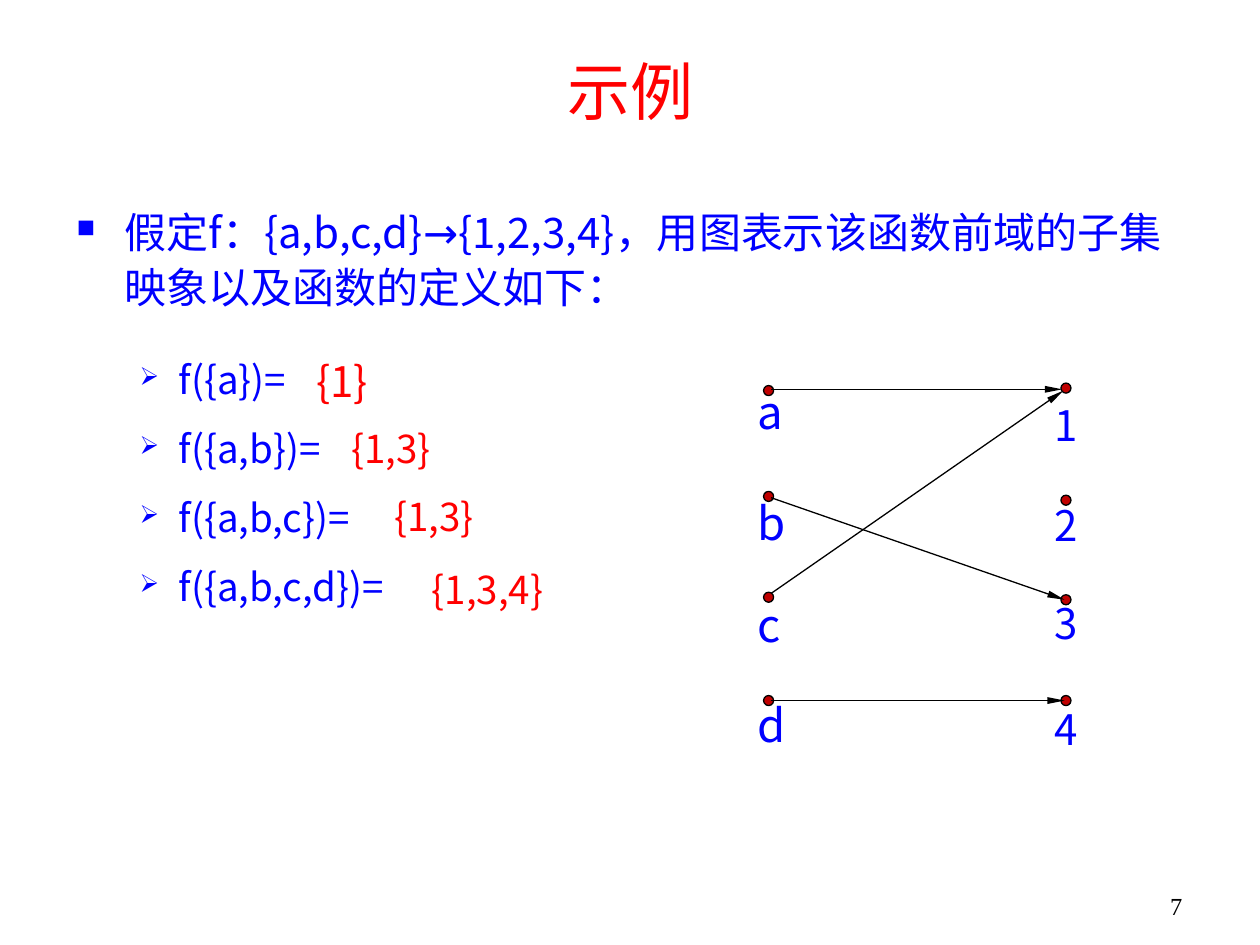
from lxml.etree import SubElement
from pptx import Presentation
from pptx.dml.color import RGBColor
from pptx.enum.shapes import MSO_CONNECTOR as CONN, MSO_SHAPE as SHAPE
from pptx.enum.text import MSO_ANCHOR as ANCHOR, PP_ALIGN as ALIGN
from pptx.oxml.ns import qn
from pptx.util import Inches, Pt

RED = RGBColor(0xFF, 0x00, 0x00)
BLUE = RGBColor(0x00, 0x00, 0xFF)
DARK_RED = RGBColor(0xC0, 0x00, 0x00)
BLACK = RGBColor(0x00, 0x00, 0x00)
CJK, COMIC, TIMES = "Noto Sans CJK SC", "Comic Neue", "Times New Roman"

DOT = 0.08
DOMAIN_X, RANGE_X = 6.06, 8.42
# label: (dot top, label top)
DOMAIN = {"a": (3.06, 3.1), "b": (3.9, 3.98), "c": (4.7, 4.79), "d": (5.52, 5.58)}
RANGE = {"1": (3.04, 3.22), "2": (3.93, 4.01), "3": (4.72, 4.79), "4": (5.52, 5.63)}
ARROWS = [((6.12, 3.09), (8.43, 3.09)), ((6.12, 3.95), (8.45, 4.76)),
          ((6.12, 4.71), (8.44, 3.1)), ((6.12, 5.56), (8.45, 5.56))]

INTRO = [("假定f：{a,b,c,d}", CJK), ("→", COMIC),
         ("{1,2,3,4}，用图表示该函数前域的子集映象以及函数的定义如下：", CJK)]
QUESTIONS = ["f({a})=", "f({a,b})=", "f({a,b,c})=", "f({a,b,c,d})="]
# text, box, size, space after
ANSWERS = [("{1}", (2.41, 2.73, 0.91, 0.57), 24, 18),
           ("{1,3}", (2.69, 3.29, 1.03, 0.55), 22, 6),
           ("{1,3}", (3.03, 3.83, 1.03, 0.55), 22, 6),
           ("{1,3,4}", (3.33, 4.41, 1.42, 0.53), 22, 6)]


def add_text(p, text, size=24, color=BLUE, font=CJK, align=None,
             line=None, before=None, after=None):
    """Append a formatted run to a paragraph and set its spacing."""
    r = p.add_run()
    r.text = text
    r.font.size = Pt(size)
    r.font.color.rgb = color
    r.font.name = font
    SubElement(r._r.get_or_add_rPr(), qn("a:ea"), typeface=font)
    if align is not None:
        p.alignment = align
    if line is not None:
        p.line_spacing = line
    if before is not None:
        p.space_before = Pt(before)
    if after is not None:
        p.space_after = Pt(after)


def add_bullet(p, char, percent, left, hanging):
    pPr = p._p.get_or_add_pPr()
    pPr.set("marL", str(Inches(left)))
    pPr.set("indent", str(-Inches(hanging)))
    color = SubElement(pPr, qn("a:buClr"))
    SubElement(color, qn("a:srgbClr"), val=str(BLUE))
    SubElement(pPr, qn("a:buSzPct"), val=str(percent * 1000))
    SubElement(pPr, qn("a:buChar"), char=char)


def add_box(slide, box, wrap=True, inset=True):
    tf = slide.shapes.add_textbox(*map(Inches, box)).text_frame
    tf.word_wrap = wrap
    if not inset:
        tf.margin_left = tf.margin_right = tf.margin_top = tf.margin_bottom = 0
    return tf


def add_title(slide, text):
    sp = slide.shapes.title
    sp.left, sp.top, sp.width, sp.height = map(Inches, (0.75, 0.36, 8.5, 0.71))
    tf = sp.text_frame
    tf.vertical_anchor = ANCHOR.MIDDLE
    add_text(tf.paragraphs[0], text, size=36, color=RED, align=ALIGN.CENTER)


def add_body(slide):
    tf = add_box(slide, (0.51, 1.55, 8.98, 3.7))
    p = tf.paragraphs[0]
    for text, font in INTRO:
        add_text(p, text, font=font, line=1.1, before=4.8, after=18)
    add_bullet(p, "■", 60, 0.38, 0.38)
    for text in QUESTIONS:
        p = tf.add_paragraph()
        p.level = 1
        add_text(p, text, size=22, line=1.1, before=4.4, after=6)
        add_bullet(p, "➢", 65, 0.81, 0.31)


def add_nodes(slide, nodes, x, size):
    """One column of dots, each with its label below."""
    for label, (dot_top, label_top) in nodes.items():
        sp = slide.shapes.add_shape(SHAPE.OVAL, Inches(x), Inches(dot_top),
                                    Inches(DOT), Inches(DOT))
        sp.shadow.inherit = False
        sp.fill.solid()
        sp.fill.fore_color.rgb = DARK_RED
        sp.line.color.rgb = BLACK
        sp.line.width = Pt(0.75)
        tf = add_box(slide, (x - 0.05, label_top, 0.18, size * 0.015),
                     wrap=False, inset=False)
        add_text(tf.paragraphs[0], label, size=size, line=0.9, before=size * 0.2)


def add_arrow(slide, start, end):
    c = slide.shapes.add_connector(CONN.STRAIGHT, *map(Inches, start + end))
    c.line.color.rgb = BLACK
    c.line.width = Pt(0.75)
    SubElement(c.line._get_or_add_ln(), qn("a:tailEnd"),
               type="triangle", w="sm", len="lg")
    SubElement(c._element.spPr, qn("a:effectLst"))


def main():
    prs = Presentation()
    prs.slide_width, prs.slide_height = Inches(10), Inches(7.5)
    slide = prs.slides.add_slide(prs.slide_layouts[5])

    add_title(slide, "示例")
    add_body(slide)

    # Mapping diagram
    add_nodes(slide, DOMAIN, DOMAIN_X, 26)
    add_nodes(slide, RANGE, RANGE_X, 24)
    for start, end in ARROWS:
        add_arrow(slide, start, end)

    # Answers beside the questions
    for text, box, size, after in ANSWERS:
        p = add_box(slide, box).paragraphs[0]
        add_text(p, text, size=size, color=RED, line=1.1,
                 before=size * 0.2, after=after)

    # Page number
    p = add_box(slide, (9.02, 7.02, 0.63, 0.37)).paragraphs[0]
    add_text(p, "7", size=14, color=BLACK, font=TIMES, align=ALIGN.CENTER)

    prs.save("out.pptx")


if __name__ == "__main__":
    main()
